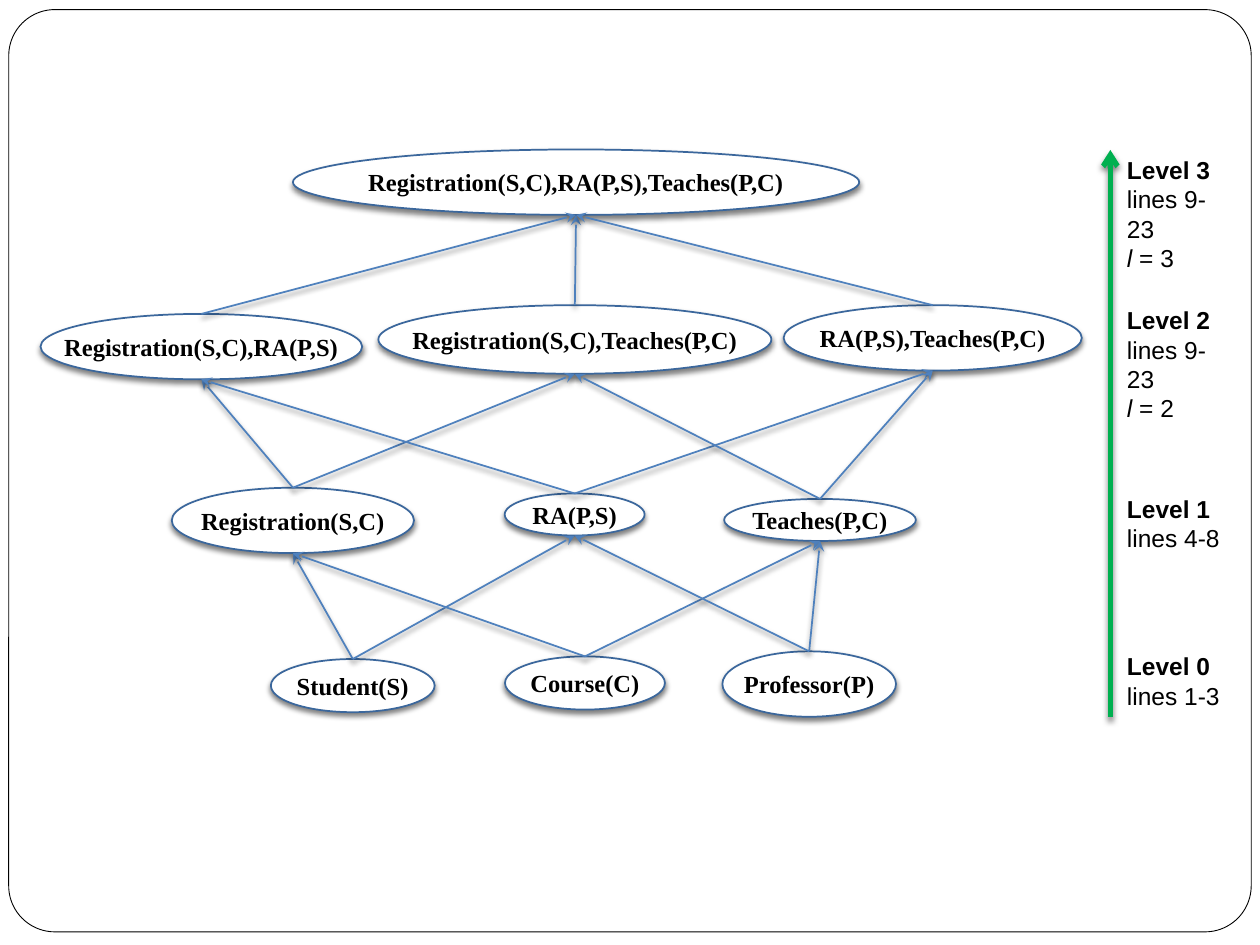
from dataclasses import dataclass

from lxml import etree
from pptx import Presentation
from pptx.dml.color import RGBColor as RGB
from pptx.enum.shapes import MSO_CONNECTOR as CONN, MSO_SHAPE as SHAPE
from pptx.enum.text import MSO_ANCHOR as ANCHOR, PP_ALIGN as ALIGN
from pptx.oxml import parse_xml
from pptx.oxml.ns import nsdecls, qn
from pptx.util import Pt


@dataclass(frozen=True)
class Theme:
    white: RGB = RGB(255, 255, 255)
    black: RGB = RGB(0, 0, 0)
    outline: RGB = RGB(0x3B, 0x67, 0x9C)
    edge: RGB = RGB(0x4F, 0x81, 0xBD)
    axis: RGB = RGB(0, 0xB0, 0x50)
    node_font: str = "Times New Roman"
    level_font: str = "Arial"
    size: int = 14


T = Theme()

# Lattice nodes: key, label, (left, top, width, height), keys of the parents
NODES = [
    ("S", "Student(S)", (154.8, 376.6, 93.6, 30.4), ["R", "A"]),
    ("C", "Course(C)", (288.6, 375.1, 91.4, 30.4), ["R", "T"]),
    ("P", "Professor(P)", (412.8, 372.2, 99.2, 37.4), ["T", "A"]),
    ("R", "Registration(S,C)", (98.2, 278.7, 138.4, 37.4), ["RA", "RT"]),
    ("A", "RA(P,S)", (288.4, 282, 80, 24), ["RA", "AT"]),
    ("T", "Teaches(P,C)", (413.8, 285.1, 109.6, 24), ["RT", "AT"]),
    ("RA", "Registration(S,C),RA(P,S)", (23.2, 179.4, 183.8, 37.4), ["RAT"]),
    ("RT", "Registration(S,C),Teaches(P,C)", (216.2, 174.4, 224.6, 39.2), ["RAT"]),
    ("AT", "RA(P,S),Teaches(P,C)", (447.8, 174.4, 170.4, 37.4), ["RAT"]),
    ("RAT", "Registration(S,C),RA(P,S),Teaches(P,C)",
     (167.4, 85.4, 323.6, 37.4), []),
]

# Level notes: top, title, line range, value of l (if any)
LEVELS = [
    (88.6, "Level 3", "lines 9-23", " = 3"),
    (174.4, "Level 2", "lines 9-23", " = 2"),
    (282.2, "Level 1", "lines 4-8", None),
    (372.2, "Level 0", "lines 1-3", None),
]
FRAME = (5, 5.5, 710, 527)
AXIS = ((634.5, 409.7), (634.5, 85.7))
NOTE_LEFT, NOTE_WIDTH, NOTE_LINE = 644, 53.4, 17


def box(*lengths):
    return [Pt(v) for v in lengths]


def add_shadow(s):
    s._element.spPr.append(parse_xml(
        f'<a:effectLst {nsdecls("a")}><a:outerShdw blurRad="{Pt(3)}" '
        f'dist="{Pt(2)}" dir="5400000" rotWithShape="0"><a:srgbClr '
        'val="000000"><a:alpha val="50000"/></a:srgbClr>'
        '</a:outerShdw></a:effectLst>'))


def style_shape(s, line, width):
    s.fill.solid()
    s.fill.fore_color.rgb = T.white
    s.line.color.rgb = line
    s.line.width = Pt(width)


def clear_margins(tf):
    tf.margin_left = tf.margin_right = tf.margin_top = tf.margin_bottom = 0


def style_run(r, font, bold=False, italic=False):
    r.font.name, r.font.size = font, Pt(T.size)
    r.font.bold, r.font.italic = bold, italic
    r.font.color.rgb = T.black


def add_node(shapes, label, place):
    s = shapes.add_shape(SHAPE.OVAL, *box(*place))
    style_shape(s, T.outline, 1)
    add_shadow(s)
    tf = s.text_frame
    clear_margins(tf)
    tf.word_wrap = False
    tf.vertical_anchor = ANCHOR.MIDDLE
    tf.text = label
    p = tf.paragraphs[0]
    p.alignment = ALIGN.CENTER
    style_run(p.runs[0], T.node_font, bold=True)


def add_arrow(shapes, start, end, color, width, head):
    s = shapes.add_connector(CONN.STRAIGHT, *box(*start, *end))
    s.line.color.rgb = color
    s.line.width = Pt(width)
    etree.SubElement(s.line._get_or_add_ln(), qn("a:tailEnd"), type=head)
    add_shadow(s)


def add_note(shapes, top, title, lines, value):
    rows = 4 if value else 2
    tf = shapes.add_textbox(
        *box(NOTE_LEFT, top, NOTE_WIDTH, rows * NOTE_LINE)).text_frame
    clear_margins(tf)
    tf.word_wrap = True
    tf.text = f"{title}\n{lines}"
    for p, bold in zip(tf.paragraphs, (True, False)):
        style_run(p.runs[0], T.level_font, bold=bold)
    if value:
        p = tf.add_paragraph()
        for text, italic in (("l", True), (value, False)):
            r = p.add_run()
            r.text = text
            style_run(r, T.level_font, italic=italic)


def main():
    prs = Presentation()
    prs.slide_width, prs.slide_height = box(720, 540)
    shapes = prs.slides.add_slide(prs.slide_layouts[6]).shapes

    # Rounded page frame
    frame = shapes.add_shape(SHAPE.ROUNDED_RECTANGLE, *box(*FRAME))
    frame.adjustments[0] = 0.05
    frame.shadow.inherit = False
    style_shape(frame, T.black, 0.5)

    # Lattice: each edge runs from a node's top to its parent's bottom
    tops, bottoms = {}, {}
    for key, label, (x, y, w, h), _ in NODES:
        add_node(shapes, label, (x, y, w, h))
        tops[key], bottoms[key] = (x + w / 2, y), (x + w / 2, y + h)
    for key, _, _, parents in NODES:
        for parent in parents:
            add_arrow(shapes, tops[key], bottoms[parent], T.edge, 1, "stealth")

    # Level axis and its notes
    add_arrow(shapes, *AXIS, T.axis, 3, "arrow")
    for level in LEVELS:
        add_note(shapes, *level)

    prs.save("out.pptx")


if __name__ == "__main__":
    main()
